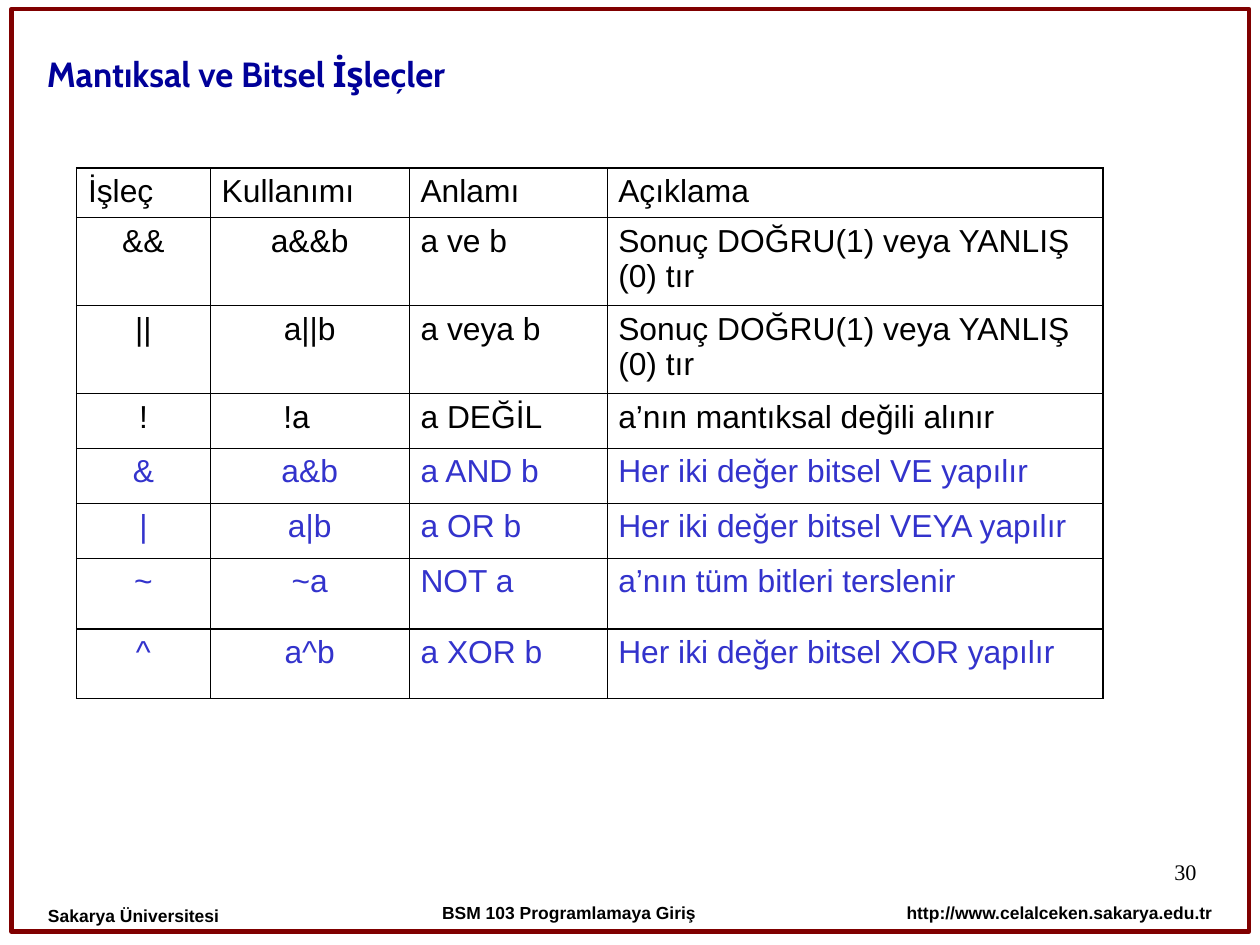
import pptx
import pptx.dml.color
import pptx.enum.shapes
import pptx.enum.text
import pptx.oxml
import pptx.oxml.ns
import pptx.util
from pptx.util import Inches

ALIGN = pptx.enum.text.PP_ALIGN
ANCHOR = pptx.enum.text.MSO_ANCHOR

TITLE = "Mantıksal ve Bitsel İşleçler"
HEADS = ("İşleç", "Kullanımı", "Anlamı", "Açıklama")
LOGIC = [
    ("&&", "a&&b", "a ve b", "Sonuç DOĞRU(1) veya YANLIŞ (0) tır"),
    ("||", "a||b", "a veya b", "Sonuç DOĞRU(1) veya YANLIŞ (0) tır"),
    ("!", "!a", "a DEĞİL", "a’nın mantıksal değili alınır"),
]
BITWISE = [
    ("&", "a&b", "a AND b", "Her iki değer bitsel VE yapılır"),
    ("|", "a|b", "a OR b", "Her iki değer bitsel VEYA yapılır"),
    ("~", "~a", "NOT a", "a’nın tüm bitleri terslenir"),
    ("^", "a^b", "a XOR b", "Her iki değer bitsel XOR yapılır"),
]
# text, left, width, alignment, line spacing
FOOTERS = [
    ("Sakarya Üniversitesi", 0.2, 2.36, ALIGN.LEFT, 0.93),
    ("BSM 103 Programlamaya Giriş", 3.11, 3.74, ALIGN.CENTER, 0.83),
    ("http://www.celalceken.sakarya.edu.tr", 7.09, 3.74, ALIGN.RIGHT, 0.83),
]
PAGE = "30"

# 28 by 21 cm, in the exact units of the slide format
SIZE = (10080625, 7559675)
WIDTHS = (1.17, 1.74, 1.73, 4.34)
HEIGHTS = (0.43, 0.77, 0.77, 0.48, 0.48, 0.48, 0.62, 0.61)
THIN, THICK = 0.45, 1.08

THEME = {
    "text": "000000", "title": "000099", "bits": "3333CC", "frame": "800000",
    "body font": "Arial", "title font": "Cabin", "page font": "Times New Roman",
    "title size": 22, "body size": 20, "page size": 14, "foot size": 11,
}


def color(key):
    return pptx.dml.color.RGBColor.from_string(THEME[key])


def style(para, role, tint="text", bold=False, align=ALIGN.LEFT):
    font = para.font
    font.name = THEME.get(role + " font", THEME["body font"])
    font.size = pptx.util.Pt(THEME[role + " size"])
    font.bold = bold
    font.color.rgb = color(tint)
    para.alignment = align


def inset(frame, side, top, bottom):
    frame.word_wrap = True
    frame.margin_left = frame.margin_right = Inches(side)
    frame.margin_top, frame.margin_bottom = Inches(top), Inches(bottom)


def add_text(slide, text, box, role, insets, align, spacing, bold=False):
    frame = slide.shapes.add_textbox(*map(Inches, box)).text_frame
    inset(frame, *insets)
    para = frame.paragraphs[0]
    para.text = text
    para.line_spacing = spacing
    style(para, role, bold=bold, align=align)


def add_border(cell, row, col):
    """Draw thick outer edges and a thick rule above the last row."""
    last = len(HEIGHTS) - 1
    thick = {
        "L": col == 0,
        "R": col == len(WIDTHS) - 1,
        "T": row in (0, last),
        "B": row >= last - 1,
    }
    props = cell._tc.get_or_add_tcPr()
    for side, heavy in thick.items():
        width = pptx.util.Pt(THICK if heavy else THIN)
        props.append(pptx.oxml.parse_xml(
            f'<a:ln{side} {pptx.oxml.ns.nsdecls("a")} w="{width}"><a:solidFill>'
            f'<a:srgbClr val="{THEME["text"]}"/></a:solidFill></a:ln{side}>'))


def add_grid(slide):
    rows = [HEADS] + LOGIC + BITWISE
    table = slide.shapes.add_table(
        len(rows), len(WIDTHS), Inches(0.67), Inches(1.47),
        Inches(sum(WIDTHS)), Inches(sum(HEIGHTS))).table
    table.first_row = table.horz_banding = False
    for col, width in enumerate(WIDTHS):
        table.columns[col].width = Inches(width)
    for row, texts in enumerate(rows):
        table.rows[row].height = Inches(HEIGHTS[row])
        tint = "bits" if row > len(LOGIC) else "text"
        for col, text in enumerate(texts):
            cell = table.cell(row, col)
            add_border(cell, row, col)
            cell.fill.background()
            shifted = text == "!a"
            cell.margin_left = Inches(0.64 if shifted else 0.1)
            center = row > 0 and col < 2 and not shifted
            para = cell.text_frame.paragraphs[0]
            para.text = text
            style(para, "body", tint, align=ALIGN.CENTER if center else ALIGN.LEFT)


def add_frame(slide):
    frame = slide.shapes.add_shape(
        pptx.enum.shapes.MSO_SHAPE.ROUNDED_RECTANGLE,
        Inches(0.1), Inches(0.08), Inches(10.83), Inches(8.07))
    frame.adjustments[0] = 0
    frame.shadow.inherit = False
    frame.fill.background()
    frame.line.color.rgb = color("frame")
    frame.line.width = pptx.util.Pt(2.83)


def set_title(slide):
    title = slide.shapes.title
    title.left, title.top = Inches(0.31), Inches(0.28)
    title.width, title.height = Inches(8), Inches(0.6)
    frame = title.text_frame
    frame.vertical_anchor = ANCHOR.BOTTOM
    inset(frame, 0.1, 0.05, 0.05)
    para = frame.paragraphs[0]
    para.text = TITLE
    style(para, "title", "title", bold=True)


def main():
    deck = pptx.Presentation()
    deck.slide_width, deck.slide_height = map(pptx.util.Emu, SIZE)
    slide = deck.slides.add_slide(deck.slide_layouts[5])
    add_frame(slide)
    set_title(slide)
    add_text(slide, PAGE, (7.9, 7.53, 2.57, 0.57), "page", (0, 0, 0), ALIGN.RIGHT, 0.95)
    for text, left, width, align, spacing in FOOTERS:
        add_text(slide, text, (left, 7.76, width, 0.51), "foot",
                 (0.22, 0.26, 0.08), align, spacing, bold=True)
    add_grid(slide)
    deck.save("out.pptx")


if __name__ == "__main__":
    main()
